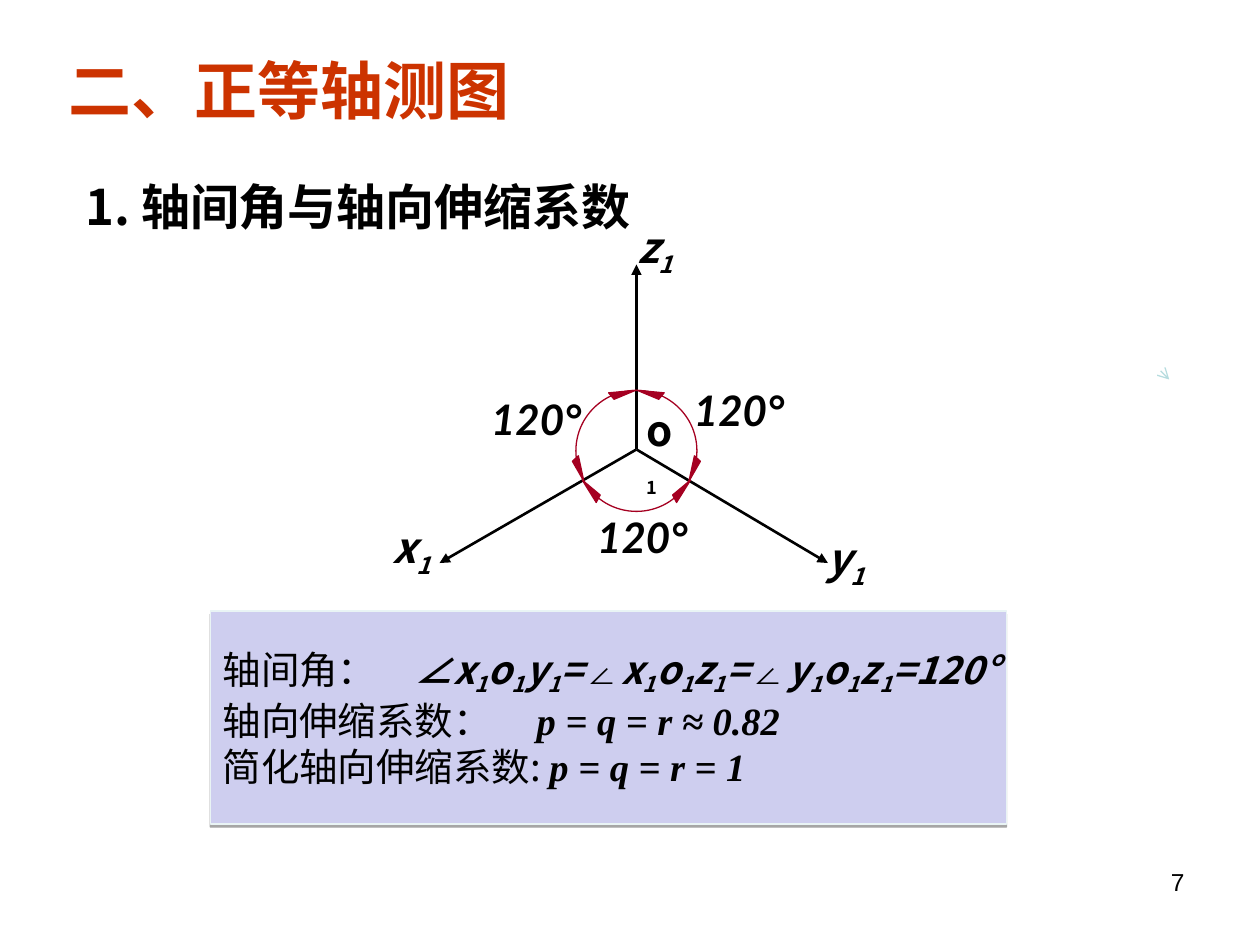
from lxml.etree import SubElement
from pptx import Presentation
from pptx.dml.color import RGBColor
from pptx.enum.shapes import MSO_CONNECTOR, MSO_SHAPE
from pptx.enum.text import MSO_ANCHOR, PP_ALIGN
from pptx.oxml.ns import qn
from pptx.util import Cm, Pt

COLORS = {"ink": "000000", "title": "CC3300", "panel": "CECEEF",
          "panel_edge": "E9F4F5", "arc": "A50021", "pointer": "B6DCDF"}
CJK = "Noto Sans CJK SC"
AXIS_FORMAT = {"size": Pt(24), "name": CJK, "bold": True, "italic": True}
ANGLE_FORMAT = {**AXIS_FORMAT, "name": "Lato"}
PANEL_TEXT = {"size": Pt(22), "name": CJK}
PANEL_MATH = {**PANEL_TEXT, "bold": True, "italic": True}
PANEL_TIMES = {**PANEL_MATH, "name": "Times New Roman"}
PANEL_ANGLE = {**PANEL_MATH, "name": "Arial"}

CENTER_X = 12.83
ORIGIN = (12.83, 9.06)
AXIS_TIPS = [(8.86, 11.35), (16.69, 11.35), (12.83, 5.33)]
RIGHT_ARROWHEADS = [
    [(12.85, 7.87), (13.39, 7.92), (13.28, 8.05)],
    [(13.89, 9.7), (14.0, 9.19), (14.12, 9.3)],
    [(13.92, 9.68), (13.64, 10.13), (13.56, 9.98)],
]


def rgb(color):
    return RGBColor.from_string(COLORS[color])


def add_run(paragraph, text, font_format, color="ink", baseline=0):
    run = paragraph.add_run()
    run.text = text
    for attribute, value in font_format.items():
        setattr(run.font, attribute, value)
    run.font.color.rgb = rgb(color)
    properties = run.font._element
    SubElement(properties, qn("a:ea")).set("typeface", CJK)
    if baseline:
        properties.set("baseline", str(baseline * 1000))


def add_indexed(paragraph, symbols, font_format, drop):
    """Write each letter followed by a lowered 1."""
    for symbol in symbols:
        add_run(paragraph, symbol, font_format)
        add_run(paragraph, "1", font_format, baseline=drop)


def add_textbox(slide, box):
    """Add an empty wrapping text box and return its first paragraph."""
    frame = slide.shapes.add_textbox(*map(Cm, box)).text_frame
    frame.word_wrap = True
    return frame.paragraphs[0]


def style_outline(shape, color):
    shape.shadow.inherit = False
    shape.line.color.rgb = rgb(color)
    shape.line.width = Pt(0.75)


def add_arrow(slide, start, end, color, width, head):
    arrow = slide.shapes.add_connector(
        MSO_CONNECTOR.STRAIGHT, *map(Cm, (*start, *end)))
    arrow.line.color.rgb = rgb(color)
    arrow.line.width = Pt(width)
    SubElement(arrow.line._get_or_add_ln(), qn("a:tailEnd")).set("type", head)
    SubElement(arrow._element.spPr, qn("a:effectLst"))


def add_arc_arrowhead(slide, points):
    start, *others = [(Cm(x), Cm(y)) for x, y in points]
    builder = slide.shapes.build_freeform(*start)
    builder.add_line_segments(others, close=True)
    head = builder.convert_to_shape()
    style_outline(head, "arc")
    head.fill.solid()
    head.fill.fore_color.rgb = rgb("arc")


def add_angle_circle(slide):
    circle = slide.shapes.add_shape(
        MSO_SHAPE.OVAL, Cm(11.61), Cm(7.87), Cm(2.44), Cm(2.44))
    style_outline(circle, "arc")
    circle.fill.background()
    for points in RIGHT_ARROWHEADS:
        add_arc_arrowhead(slide, points)
        add_arc_arrowhead(slide, [(2 * CENTER_X - x, y) for x, y in points])


def add_panel_shadow(panel):
    effects = panel._element.spPr.find(qn("a:effectLst"))
    shadow = SubElement(effects, qn("a:outerShdw"), blurRad="0",
                        dist=str(Pt(1.8)), dir="5400000", algn="t", rotWithShape="0")
    color = SubElement(shadow, qn("a:srgbClr"), val=COLORS["ink"])
    SubElement(color, qn("a:alpha"), val="35000")


def add_tab_stop(paragraph, position):
    tabs = SubElement(paragraph._p.get_or_add_pPr(), qn("a:tabLst"))
    SubElement(tabs, qn("a:tab"), pos=str(Cm(position)), algn="l")


def add_panel(slide):
    panel = slide.shapes.add_shape(
        MSO_SHAPE.RECTANGLE, Cm(4.24), Cm(12.32), Cm(16.05), Cm(4.29))
    style_outline(panel, "panel_edge")
    panel.fill.solid()
    panel.fill.fore_color.rgb = rgb("panel")
    add_panel_shadow(panel)

    frame = panel.text_frame
    frame.word_wrap = False
    frame.vertical_anchor = MSO_ANCHOR.MIDDLE
    angles, factors, simplified = (
        frame.paragraphs[0], frame.add_paragraph(), frame.add_paragraph())
    for paragraph in frame.paragraphs:
        paragraph.alignment = PP_ALIGN.LEFT

    add_tab_stop(angles, 3.87)
    add_run(angles, "轴间角：\t", PANEL_TEXT)
    for axes, ending in (("xoy", "="), ("xoz", "="), ("yoz", "=120°")):
        add_run(angles, "∠", PANEL_ANGLE)
        add_indexed(angles, axes, PANEL_MATH, -22)
        add_run(angles, ending, PANEL_MATH)

    add_tab_stop(factors, 6.33)
    add_run(factors, "轴向伸缩系数：\t", PANEL_TEXT)
    add_run(factors, "p = q = r ≈ 0.82", PANEL_TIMES)
    add_run(simplified, "简化轴向伸缩系数: ", PANEL_TEXT)
    add_run(simplified, "p = q = r = 1", PANEL_TIMES)


def add_axes(slide):
    for tip in AXIS_TIPS:
        add_arrow(slide, ORIGIN, tip, "ink", 1.5, "triangle")
    for axis, left, top in (("z", 12.6, 4.34), ("y", 16.41, 10.62), ("x", 7.67, 10.39)):
        add_indexed(add_textbox(slide, (left, top, 1.83, 1.42)), axis, AXIS_FORMAT, -25)
    # The narrow box puts the index below the letter
    origin = add_textbox(slide, (12.78, 8.03, 1.16, 1.35))
    upright = {**AXIS_FORMAT, "italic": False}
    add_run(origin, "o", upright)
    add_run(origin, "1", {**upright, "size": Pt(18)}, baseline=-25)


def main():
    presentation = Presentation()
    presentation.slide_width, presentation.slide_height = Cm(25.4), Cm(19.05)
    slide = presentation.slides.add_slide(presentation.slide_layouts[6])

    heading = {"name": CJK, "bold": True}
    add_run(add_textbox(slide, (1.47, 3.43, 17.27, 1.45)),
            "1. 轴间角与轴向伸缩系数", {**heading, "size": Pt(28)})
    add_run(add_textbox(slide, (1.14, 0.91, 18.42, 1.78)),
            "二、正等轴测图", {**heading, "size": Pt(36)}, "title")
    page_number = add_textbox(slide, (18.21, 17.35, 5.92, 1.32))
    page_number.alignment = PP_ALIGN.RIGHT
    add_run(page_number, "7", {"size": Pt(14), "name": "Arial"})

    add_panel(slide)
    add_axes(slide)
    add_angle_circle(slide)
    for left, top in ((9.65, 7.8), (13.74, 7.62), (11.79, 10.19)):
        add_run(add_textbox(slide, (left, top, 3.61, 1.27)), "120°", ANGLE_FORMAT)
    add_arrow(slide, (23.55, 7.63), (23.57, 7.65), "pointer", 0.75, "arrow")
    presentation.save("out.pptx")


if __name__ == "__main__":
    main()
